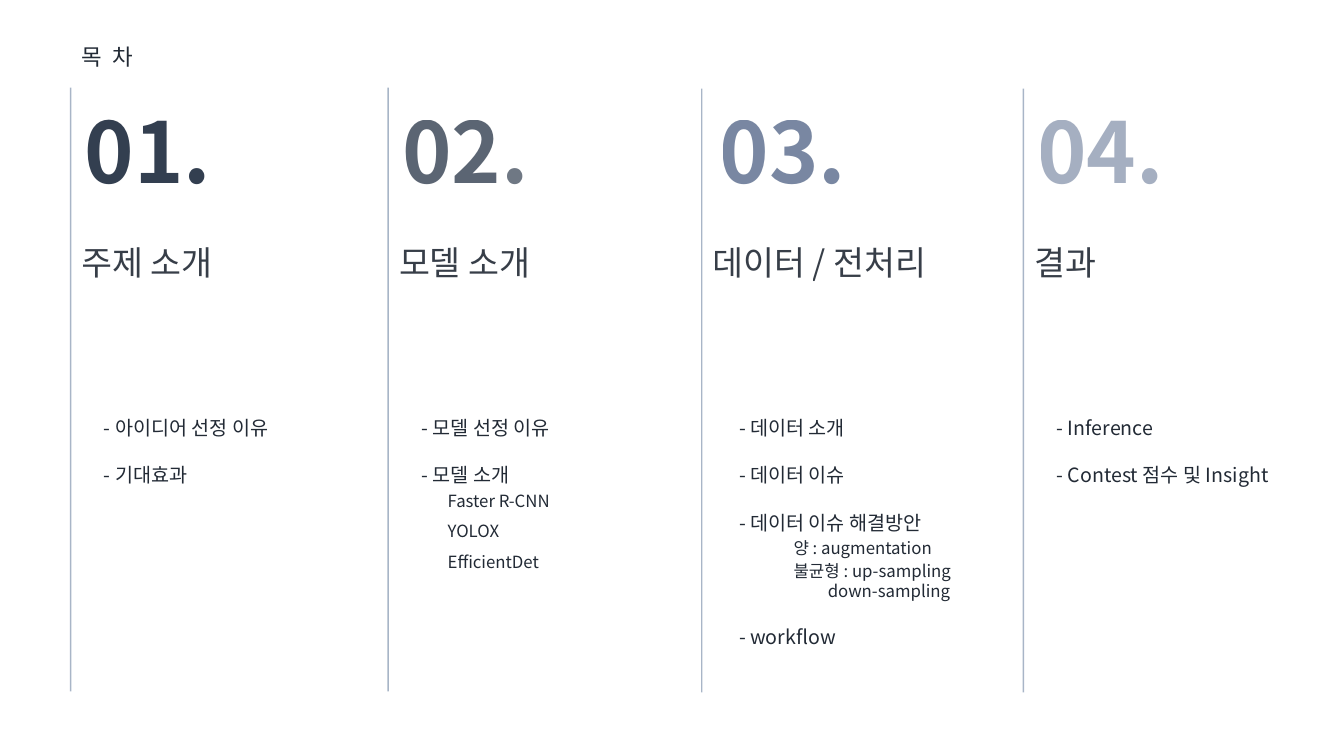
from lxml.etree import SubElement
from pptx import Presentation
from pptx.dml.color import RGBColor as Rgb
from pptx.enum.shapes import MSO_CONNECTOR as Conn
from pptx.enum.text import MSO_ANCHOR as Anchor, MSO_AUTO_SIZE as Auto, PP_ALIGN as Align
from pptx.oxml.ns import qn
from pptx.util import Pt

PX = 9144
FONT = "Noto Sans CJK KR"
HUES = {"ink": "222A35", "slate": "333F50", "navy": "203864", "rule": "8497B0"}
SUB = {"size": 12, "line": 16.8}

COLS = [
    {"x": 70, "top": 87, "runs": [("01.", "slate", 100)], "head": "주제 소개",
     "list": [("- 아이디어 선정 이유", {}), ("- 기대효과", {"gap": 16.8})]},
    {"x": 385, "top": 87, "runs": [("02", "slate", 80), (".", "slate", 70)], "head": "모델 소개",
     "list": [("- 모델 선정 이유", {}), ("- 모델 소개", {"gap": 16.8}),
              ("Faster R-CNN", {**SUB, "left": 26}),
              ("YOLOX", {**SUB, "left": 26, "gap": 5}),
              ("EfficientDet", {**SUB, "left": 26, "gap": 5})]},
    {"x": 696, "top": 88, "runs": [("03.", "navy", 60)], "head": "데이터 / 전처리",
     "list": [("- 데이터 소개", {}), ("- 데이터 이슈", {"gap": 16.8}),
              ("- 데이터 이슈 해결방안", {"gap": 16.8}),
              ("양 : augmentation", {**SUB, "left": 54}),
              ("불균형 : up-sampling", {**SUB, "left": 54}),
              ("down-sampling", {"size": 12, "left": 88}),
              ("- workflow", {"gap": 16.8})]},
    {"x": 1015, "top": 88, "runs": [("04.", "navy", 40)], "head": "결과",
     "list": [("- Inference", {}), ("- Contest 점수 및 Insight", {"gap": 16.8})]},
]


def tint(fill, hue, alpha):
    fill.solid()
    fill.fore_color.rgb = Rgb.from_string(HUES[hue])
    if alpha < 100:
        node = fill._xPr.find(".//" + qn("a:srgbClr"))
        SubElement(node, qn("a:alpha")).set("val", str(alpha * 1000))


def write(para, text, size=14, hue="ink", alpha=100, bold=False, left=0, gap=0, line=None):
    para.alignment = Align.LEFT
    para.line_spacing = Pt(line or size * 1.2)
    para.space_before, para.space_after = Pt(gap), Pt(0)
    prop = para._p.get_or_add_pPr()
    prop.set("marL", str(left * PX))
    prop.set("indent", "0")
    if prop.find(qn("a:buNone")) is None:
        SubElement(prop, qn("a:buNone"))
    run = para.add_run()
    run.text = text
    font = run.font
    font.size, font.bold = Pt(size), bold
    tint(font.fill, hue, alpha)
    font.name = FONT
    SubElement(font._element, qn("a:ea")).set("typeface", FONT)


def place(shape, x, y, w, h):
    shape.left, shape.top, shape.width, shape.height = (n * PX for n in (x, y, w, h))
    frame = shape.text_frame
    frame.word_wrap = True
    frame.auto_size = Auto.NONE
    frame.vertical_anchor = Anchor.TOP
    return frame


def label(slide, x, y, w, h):
    return place(slide.shapes.add_textbox(0, 0, 0, 0), x, y, w, h).paragraphs[0]


def rule(slide, x, y, h):
    line = slide.shapes.add_connector(
        Conn.STRAIGHT, x * PX, y * PX, x * PX, (y + h) * PX)
    line.line.width = Pt(1)
    tint(line.line.fill, "rule", 70)
    SubElement(line._element.spPr, qn("a:effectLst"))


def column(slide, body, col, x, y):
    rule(slide, col["x"], col["top"], 599)
    para = label(slide, x, y, 300, 111)
    for text, hue, alpha in col["runs"]:
        write(para, text, size=60, hue=hue, alpha=alpha, bold=True)
    write(label(slide, col["x"] + 1, y + 141, 315, 50), col["head"], size=24, alpha=90)
    frame = place(body, x + 19, y + 314, 272, 289)
    for i, (text, form) in enumerate(col["list"]):
        para = frame.add_paragraph() if i else frame.paragraphs[0]
        write(para, text, **form)


def agenda(deck):
    slide = deck.slides.add_slide(deck.slide_layouts[4])
    title, *bodies = slide.placeholders
    write(place(title, 71, 38, 104, 37).paragraphs[0], "목  차", size=16)
    for i, (body, col) in enumerate(zip(bodies, COLS)):
        column(slide, body, col, 74 + 315 * i, 94)


def main():
    deck = Presentation()
    deck.slide_width, deck.slide_height = 1333 * PX, 750 * PX
    agenda(deck)
    deck.save("out.pptx")


if __name__ == "__main__":
    main()
